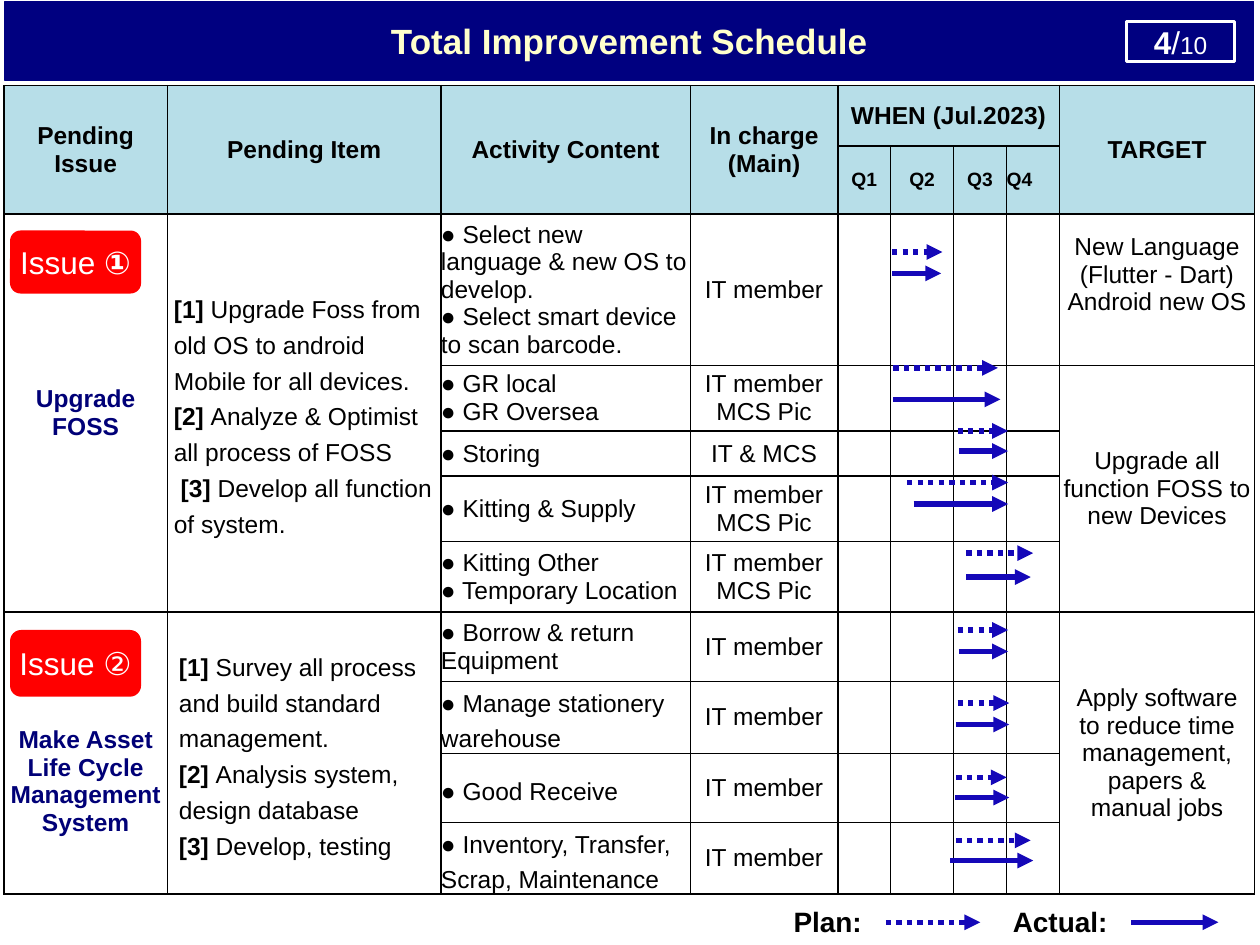
from dataclasses import dataclass
from typing import NamedTuple

from lxml.etree import SubElement
from pptx import Presentation
from pptx.dml.color import RGBColor
from pptx.enum.dml import MSO_LINE as Dash
from pptx.enum.shapes import MSO_CONNECTOR as Conn, MSO_SHAPE as Kind
from pptx.enum.text import MSO_ANCHOR as Anchor, PP_ALIGN as Align
from pptx.oxml import parse_xml
from pptx.oxml.ns import nsdecls, qn
from pptx.util import Inches, Pt

HUES = {"navy": "000080", "cream": "FFFFCC", "white": "FFFFFF", "black": "000000",
        "head": "B7DEE8", "issue": "000077", "red": "FF0000", "arrow": "1508B8"}
UNIT = 0.1  # the slide is a grid of 100 columns by 75 rows
COLS = (13, 21.7, 19.8, 11.7, 4.2, 5, 4.2, 4.2, 15.5)
ROWS = (4.8, 5.4, 12, 5.2, 3.6, 5.2, 5.6, 5.5, 5.7, 5.5, 5.6)
MID, LEFT = Align.CENTER, Align.LEFT
FLAT = (0, 0, 0, 0)
PAD = (1, 0.5, 1, 0.5)
SNUG = (0.9, 0.4, 0.9, 0.4)


class Box(NamedTuple):
    left: float
    top: float
    wide: float
    high: float


@dataclass
class Style:
    size: float = 14
    hue: str = "black"
    align: Align = MID
    gap: float = 1.0


@dataclass
class Cell:
    row: int
    col: int
    text: str
    style: Style
    pad: tuple = FLAT
    down: int = 1
    over: int = 1
    fill: str = "white"


class Bar(NamedTuple):
    start: float
    end: float
    y: float


class Pair(NamedTuple):
    plan: Bar
    actual: Bar


HEAD, BODY = Style(), Style(align=LEFT)
ITEM = Style(align=LEFT, gap=1.3)
QUARTER, ISSUE = Style(11), Style(hue="issue")

HEADS = [Cell(0, c, f"*{t}*", HEAD, PAD, down=2, fill="head") for c, t in (
    (0, "Pending Issue"), (1, "Pending Item"), (2, "Activity Content"),
    (3, "In charge (Main)"), (8, "TARGET"))]
HEADS.append(Cell(0, 4, "*WHEN (Jul.2023)*", HEAD, PAD, over=4, fill="head"))
HEADS += [Cell(1, 4 + q, f"*Q{q + 1}*", QUARTER if q < 3 else Style(11, align=LEFT),
               fill="head") for q in range(4)]

TASKS = (
    ("● Select new language & new OS to develop.\n"
     "● Select smart device to scan barcode.", "IT member", BODY),
    ("● GR local\n● GR Oversea", "IT member MCS Pic", BODY),
    ("● Storing", "IT & MCS", BODY),
    ("● Kitting & Supply", "IT member MCS Pic", BODY),
    ("● Kitting Other\n● Temporary Location", "IT member MCS Pic", BODY),
    ("● Borrow & return Equipment", "IT member", BODY),
    ("● Manage stationery warehouse", "IT member", ITEM),
    ("● Good Receive", "IT member", ITEM),
    ("● Inventory, Transfer, Scrap, Maintenance", "IT member", ITEM),
)
WORK = [cell for r, (task, who, style) in enumerate(TASKS, 2) for cell in (
    Cell(r, 2, task, style), Cell(r, 3, who, HEAD, SNUG))]

GROUPS = [
    Cell(2, 0, "*Upgrade FOSS*", ISSUE, down=5),
    Cell(2, 1, "*[1] *Upgrade Foss from old OS to android Mobile for all devices.\n"
         "*[2] *Analyze & Optimist all process of FOSS\n"
         " *[3] *Develop all function of system.", ITEM, (0.5, 0, 0.5, 0), down=5),
    Cell(2, 8, "New Language (Flutter - Dart)\nAndroid new OS", HEAD, (0, 0, 0, 2.4)),
    Cell(3, 8, "Upgrade all function FOSS to new Devices", HEAD, down=4),
    Cell(7, 0, "*Make Asset Life Cycle Management System*", ISSUE, (0, 4.5, 0, 0), down=4),
    Cell(7, 1, "*[1] *Survey all process and build standard management.\n"
         "*[2] *Analysis system, design database\n"
         "*[3] *Develop, testing", ITEM, SNUG, down=4),
    Cell(7, 8, "Apply software to reduce time management, papers & manual jobs",
         HEAD, PAD, down=4),
]

PAIRS = (
    Pair(Bar(70.8, 74.8, 20), Bar(70.8, 74.7, 21.7)),
    Pair(Bar(70.9, 79.2, 29.2), Bar(70.9, 79.4, 31.7)),
    Pair(Bar(76, 80, 34.2), Bar(76.1, 80, 35.8)),
    Pair(Bar(72, 80, 38.3), Bar(72.5, 80, 40)),
    Pair(Bar(76.7, 82, 43.9), Bar(76.7, 81.8, 45.8)),
    Pair(Bar(76, 80, 50), Bar(76.1, 80, 51.7)),
    Pair(Bar(76, 80.1, 55.8), Bar(75.9, 80.1, 57.5)),
    Pair(Bar(75.9, 79.9, 61.7), Bar(75.8, 80.1, 63.3)),
    Pair(Bar(75.9, 81.8, 66.7), Bar(75.4, 82, 68.3)),
    Pair(Bar(70.3, 77.8, 73.2), Bar(89.8, 96.7, 73.2)),  # legend
)


def grid(n: float) -> int:
    return Inches(n * UNIT)


def rgb(hue: str) -> RGBColor:
    return RGBColor.from_string(HUES[hue])


def add_run(para, text: str, style: Style, bold: bool, size: float = 0) -> None:
    run = para.add_run()
    run.text = text
    font = run.font
    font.name, font.size, font.bold = "Arial", Pt(size or style.size), bold
    font.color.rgb = rgb(style.hue)


def write(frame, text: str, style: Style) -> None:
    """One paragraph per line; stars enclose bold parts."""
    for i, line in enumerate(text.split("\n")):
        para = frame.add_paragraph() if i else frame.paragraphs[0]
        para.alignment, para.line_spacing = style.align, style.gap
        for j, part in enumerate(line.split("*")):
            if part:
                add_run(para, part, style, j % 2 == 1)


def add_box(slide, kind: Kind, box: Box, fill: str = "", line: str = "", width: float = 1):
    shape = slide.shapes.add_shape(kind, *map(grid, box))
    shape.shadow.inherit = False
    for paint, hue in ((shape.fill, fill), (shape.line.fill, line)):
        if hue:
            paint.solid()
            paint.fore_color.rgb = rgb(hue)
        else:
            paint.background()
    if line:
        shape.line.width = Pt(width)
    frame = shape.text_frame
    frame.word_wrap, frame.vertical_anchor = True, Anchor.MIDDLE
    frame.margin_left = frame.margin_right = frame.margin_top = frame.margin_bottom = 0
    return frame


def add_label(slide, box: Box, text: str) -> None:
    frame = slide.shapes.add_textbox(*map(grid, box)).text_frame
    frame.word_wrap = True
    write(frame, text, Style(16, align=LEFT))


def add_arrow(slide, bar: Bar, dotted: bool) -> None:
    arrow = slide.shapes.add_connector(Conn.STRAIGHT, grid(bar.start), grid(bar.y),
                                       grid(bar.end), grid(bar.y))
    arrow.line.color.rgb, arrow.line.width = rgb("arrow"), Pt(3)
    if dotted:
        arrow.line.dash_style = Dash.ROUND_DOT
    props = arrow.element.spPr
    SubElement(props.find(qn("a:ln")), qn("a:tailEnd"), type="triangle")
    SubElement(props, qn("a:effectLst"))


def trim(cell, fill: str, pad: tuple) -> None:
    """Set the fill, margins and black borders of a table cell."""
    cell.fill.solid()
    cell.fill.fore_color.rgb = rgb(fill)
    cell.vertical_anchor = Anchor.MIDDLE
    (cell.margin_left, cell.margin_top,
     cell.margin_right, cell.margin_bottom) = map(grid, pad)
    props = cell._tc.get_or_add_tcPr()
    for i, side in enumerate("LRTB"):
        props.insert(i, parse_xml(
            f'<a:ln{side} {nsdecls("a")} w="12700"><a:solidFill>'
            f'<a:srgbClr val="{HUES["black"]}"/></a:solidFill></a:ln{side}>'))


def add_plan(slide) -> None:
    box = Box(0.3, 6.8, sum(COLS), sum(ROWS))
    table = slide.shapes.add_table(len(ROWS), len(COLS), *map(grid, box)).table
    table.first_row = table.horz_banding = False
    for col, wide in zip(table.columns, COLS):
        col.width = grid(wide)
    for row, high in zip(table.rows, ROWS):
        row.height = grid(high)
    cells = {(c.row, c.col): c for c in HEADS + WORK + GROUPS}
    for r in range(len(ROWS)):
        for c in range(len(COLS)):
            item = cells.get((r, c))
            trim(table.cell(r, c), item.fill if item else "head" if r < 2 else "white",
                 item.pad if item else FLAT)
    for (r, c), item in cells.items():
        if item.down * item.over > 1:
            table.cell(r, c).merge(table.cell(r + item.down - 1, c + item.over - 1))
        write(table.cell(r, c).text_frame, item.text, item.style)


def main() -> None:
    deck = Presentation()
    deck.slide_width, deck.slide_height = grid(100), grid(75)
    slide = deck.slides.add_slide(deck.slide_layouts[6])
    write(add_box(slide, Kind.RECTANGLE, Box(0.4, 0.1, 99.1, 6.3), "navy", "navy", 0.75),
          "*Total Improvement Schedule*", Style(20, "cream"))
    page = add_box(slide, Kind.RECTANGLE, Box(89.4, 1.7, 8.6, 3.2), line="white", width=2)
    number = Style(18, "white")
    write(page, "*4*/", number)
    add_run(page.paragraphs[0], "10", number, False, 14)
    add_plan(slide)
    for top, high, text in ((18.3, 5, "Issue *①*"), (50, 5.3, "Issue ②")):
        write(add_box(slide, Kind.ROUNDED_RECTANGLE, Box(0.8, top, 10.4, high), "red"),
              text, Style(18, "white"))
    add_label(slide, Box(62, 71.3, 8.3, 3.7), "*Plan:*")
    add_label(slide, Box(79.4, 71.3, 10.4, 3.7), "*Actual:*")
    for pair in PAIRS:
        add_arrow(slide, pair.plan, True)
        add_arrow(slide, pair.actual, False)
    deck.save("out.pptx")


if __name__ == "__main__":
    main()
